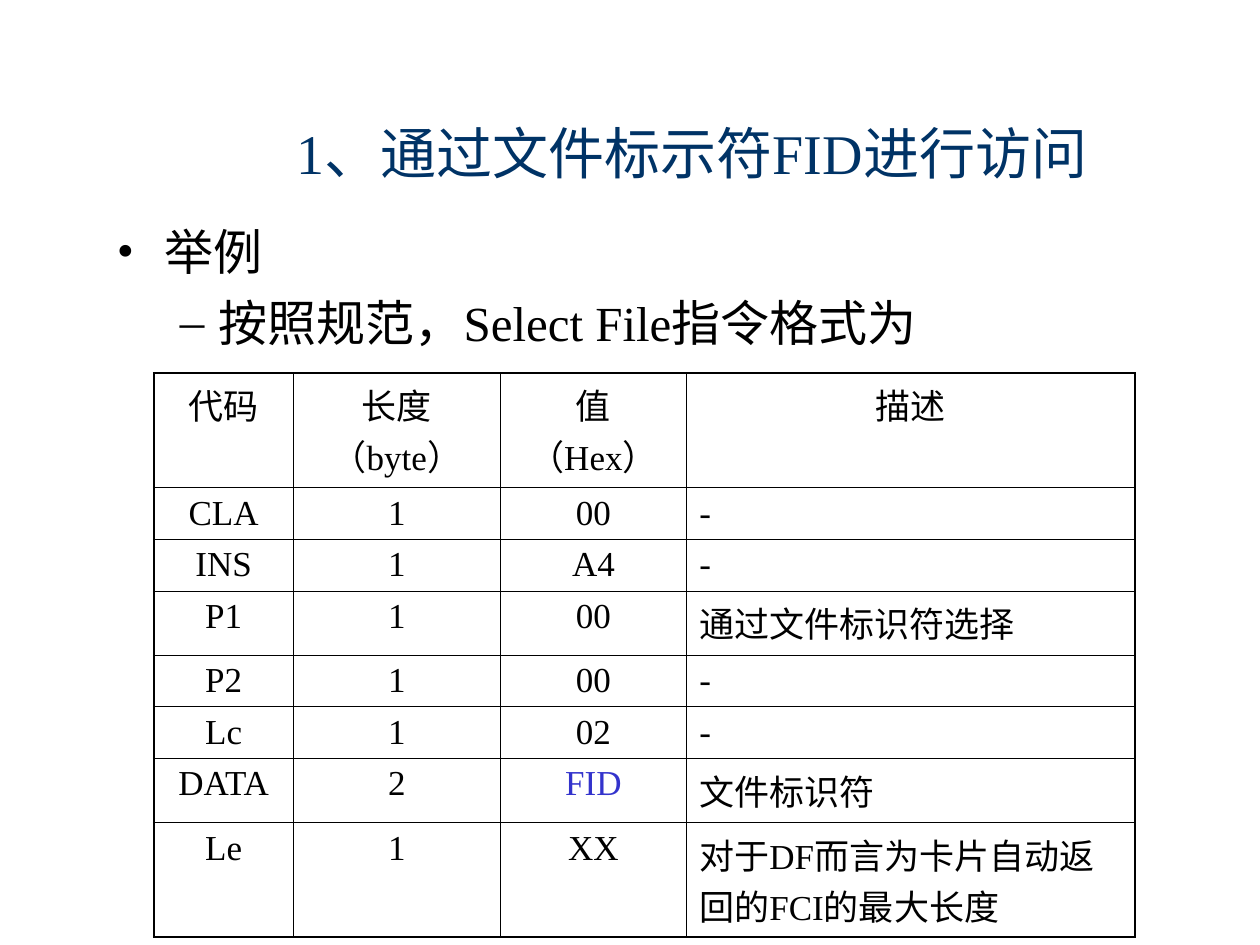
from lxml import etree
from pptx import Presentation
from pptx import util as u
from pptx.dml import color as c
from pptx.enum import text as t
from pptx.oxml import ns

BLACK = c.RGBColor(0x00, 0x00, 0x00)
NAVY = c.RGBColor(0x00, 0x33, 0x66)
BLUE = c.RGBColor(0x33, 0x33, 0xCC)

FACE = "Times New Roman"
THIN, THICK = 0.45, 1.08
BULLETS = [
    ("举例", "•", 0, 0.38, -0.38),
    ("按照规范，Select File指令格式为", "–", 1, 0.81, -0.31),
]
COLS = [1.11, 1.64, 1.48, 3.56]
ROWS = [
    (0.91, "代码", "长度（byte）", "值（Hex）", "描述"),
    (0.41, "CLA", "1", "00", "-"),
    (0.41, "INS", "1", "A4", "-"),
    (0.51, "P1", "1", "00", "通过文件标识符选择"),
    (0.41, "P2", "1", "00", "-"),
    (0.41, "Lc", "1", "02", "-"),
    (0.51, "DATA", "2", "FID", "文件标识符"),
    (0.91, "Le", "1", "XX", "对于DF而言为卡片自动返回的FCI的最大长度"),
]


def apply(item, **vals):
    """Set each named attribute of an item."""
    for key, val in vals.items():
        setattr(item, key, val)


def write(para, words, size, color, align):
    """Fill a paragraph with one styled run."""
    para.alignment = align
    run = para.add_run()
    run.text = words
    apply(run.font, name=FACE, size=u.Pt(size), bold=False)
    run.font.color.rgb = color


def add_node(parent, tag, **attrs):
    """Append a drawing element and return it."""
    return etree.SubElement(parent, ns.qn(tag), attrs)


def place(shape, box):
    """Move a shape into a box given in inches."""
    names = ("left", "top", "width", "height")
    apply(shape, **dict(zip(names, map(u.Inches, box))))


def add_title(slide, box):
    """Place and format the title."""
    title = slide.shapes.title
    place(title, box)
    frame = title.text_frame
    apply(frame, word_wrap=True, auto_size=t.MSO_AUTO_SIZE.NONE,
          vertical_anchor=t.MSO_ANCHOR.MIDDLE)
    write(frame.paragraphs[0], "1、通过文件标示符FID进行访问", 32, NAVY,
          t.PP_ALIGN.LEFT)


def add_list(slide, box):
    """Place the two-level bullet list."""
    frame = slide.shapes.add_textbox(*map(u.Inches, box)).text_frame
    frame.word_wrap = True
    for i, (words, mark, level, left, hang) in enumerate(BULLETS):
        para = frame.add_paragraph() if i else frame.paragraphs[0]
        para.level = level
        if i:
            para.space_before = u.Pt(7)
        props = para._p.get_or_add_pPr()
        props.set("marL", str(u.Inches(left)))
        props.set("indent", str(u.Inches(hang)))
        add_node(props, "a:buFont", typeface=FACE)
        add_node(props, "a:buChar", char=mark)
        write(para, words, 28, BLACK, t.PP_ALIGN.LEFT)


def add_edges(cell, row, col):
    """Draw thick outer and thin inner borders on a cell."""
    outer = {"L": col == 0, "R": col == len(COLS) - 1,
             "T": row == 0, "B": row == len(ROWS) - 1}
    props = cell._tc.get_or_add_tcPr()
    for side, thick in outer.items():
        width = u.Pt(THICK if thick else THIN)
        line = add_node(props, "a:ln" + side, w=str(width))
        fill = add_node(line, "a:solidFill")
        add_node(fill, "a:srgbClr", val=str(BLACK))


def add_grid(slide, box):
    """Place the command format table."""
    shape = slide.shapes.add_table(len(ROWS), len(COLS), *map(u.Inches, box))
    table = shape.table
    apply(table, first_row=False, horz_banding=False)
    for col, width in zip(table.columns, COLS):
        col.width = u.Inches(width)
    for i, (height, *texts) in enumerate(ROWS):
        table.rows[i].height = u.Inches(height)
        for j, words in enumerate(texts):
            cell = table.cell(i, j)
            apply(cell, margin_top=u.Inches(0.05),
                  margin_bottom=u.Inches(0.02))
            add_edges(cell, i, j)
            cell.fill.background()
            last = i > 0 and j == len(COLS) - 1
            write(cell.text_frame.paragraphs[0], words, 20,
                  BLUE if words == "FID" else BLACK,
                  t.PP_ALIGN.LEFT if last else t.PP_ALIGN.CENTER)


def main():
    """Build the slide and save it."""
    deck = Presentation()
    apply(deck, slide_width=u.Inches(10), slide_height=u.Inches(7.5))
    slide = deck.slides.add_slide(deck.slide_layouts[5])
    add_title(slide, (2.25, 0.75, 6.92, 0.92))
    add_list(slide, (0.83, 1.71, 8.66, 1.13))
    add_grid(slide, (1.22, 2.96, 7.79, 4.48))
    deck.save("out.pptx")


if __name__ == "__main__":
    main()
